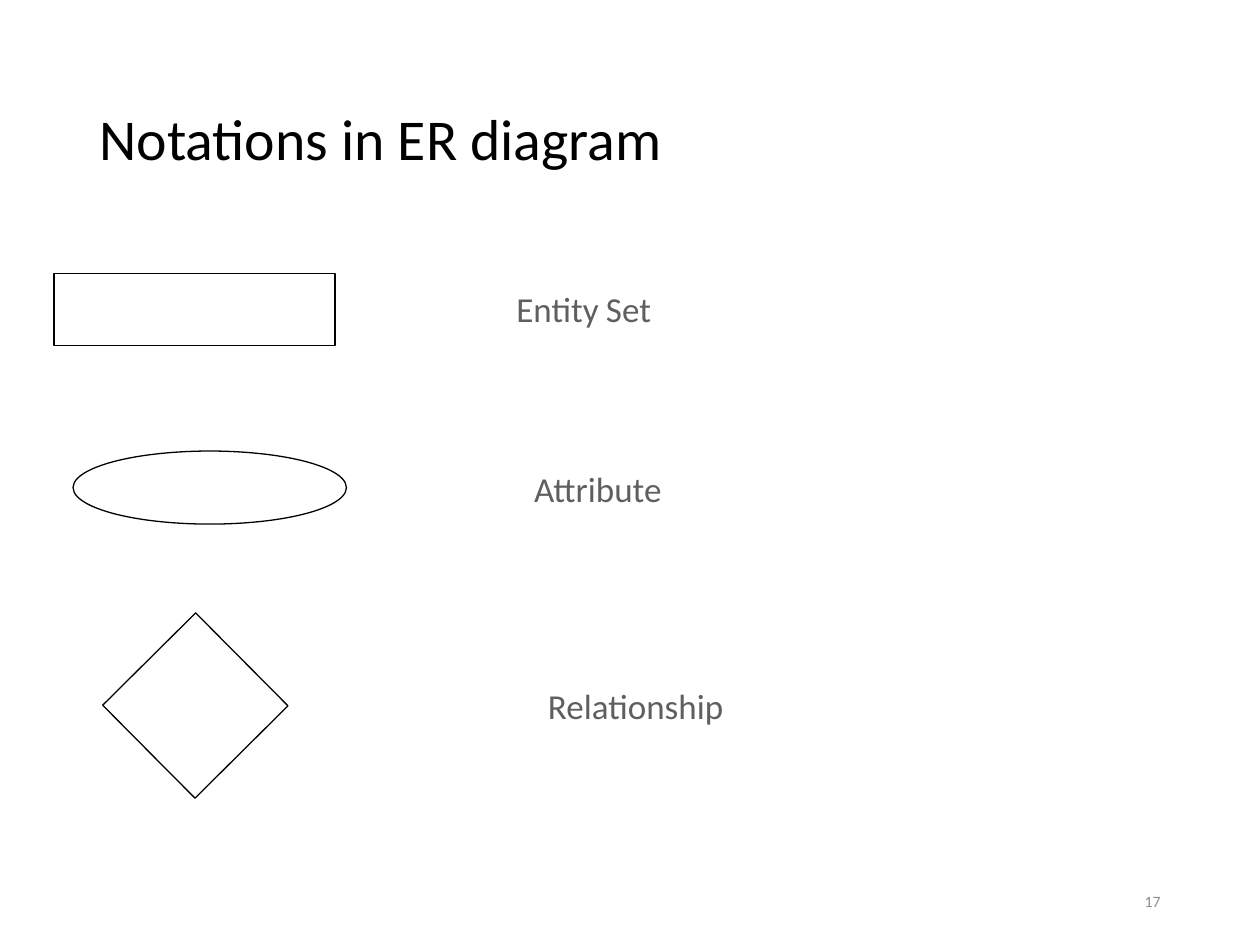
from dataclasses import dataclass

from pptx import Presentation
from pptx.dml.color import RGBColor
from pptx.enum.shapes import MSO_SHAPE
from pptx.enum.text import MSO_ANCHOR, PP_ALIGN
from pptx.util import Inches, Pt

RECT, OVAL = MSO_SHAPE.RECTANGLE, MSO_SHAPE.OVAL
TOP, MIDDLE = MSO_ANCHOR.TOP, MSO_ANCHOR.MIDDLE
LEFT, RIGHT = PP_ALIGN.LEFT, PP_ALIGN.RIGHT
Box = tuple[float, float, float, float]


@dataclass(frozen=True)
class Theme:
    """Fonts, colours and type sizes of the slide."""
    font: str = "Calibri"
    gap_font: str = "Arial Narrow"
    black: str = "000000"
    label: str = "5F5F5F"
    gap: str = "339933"
    number: str = "8C8C8C"
    title_size: float = 33
    label_size: float = 20
    gap_size: float = 18
    number_size: float = 9
    line: float = 0.75


@dataclass(frozen=True)
class Run:
    """A piece of text with one format."""
    text: str
    size: float
    color: str
    font: str
    bold: bool = False


@dataclass(frozen=True)
class Symbol:
    """A notation outline and its label."""
    kind: MSO_SHAPE
    box: Box
    label: list[Run]
    place: Box
    turn: float = 0


THEME = Theme()


def word(text: str) -> Run:
    """Return a run in the label style."""
    return Run(text, THEME.label_size, THEME.label, THEME.font)


def add_text(slide, box: Box, runs: list[Run], anchor=TOP, align=LEFT,
             wrap: bool = True, space: float = 1.0) -> None:
    """Add a text box with one paragraph of runs."""
    frame = slide.shapes.add_textbox(*map(Inches, box)).text_frame
    para = frame.paragraphs[0]
    for name, value in {"word_wrap": wrap, "vertical_anchor": anchor}.items():
        setattr(frame, name, value)
    for name, value in {"alignment": align, "line_spacing": space}.items():
        setattr(para, name, value)
    for item in runs:
        run = para.add_run()
        run.text = item.text
        style = {"name": item.font, "size": Pt(item.size), "bold": item.bold}
        for name, value in style.items():
            setattr(run.font, name, value)
        run.font.color.rgb = RGBColor.from_string(item.color)


def add_symbol(slide, item: Symbol) -> None:
    """Draw a notation outline with its label."""
    shape = slide.shapes.add_shape(item.kind, *map(Inches, item.box))
    shape.rotation = item.turn
    shape.shadow.inherit = False
    shape.fill.background()
    shape.line.color.rgb = RGBColor.from_string(THEME.black)
    shape.line.width = Pt(THEME.line)
    add_text(slide, item.place, item.label, wrap=False)


SPACE = Run(" ", THEME.gap_size, THEME.gap, THEME.gap_font, True)
SYMBOLS = [
    Symbol(RECT, (0.43, 2.17, 2.23, 0.57),
           [word("Entity"), SPACE, word("Set")], (4, 2.23, 1.38, 0.44)),
    Symbol(OVAL, (0.58, 3.58, 2.17, 0.58),
           [word("Attribute")], (4.14, 3.66, 1.25, 0.44)),
    Symbol(RECT, (1.03, 5.08, 1.04, 1.04),
           [word("Relationship")], (4.25, 5.38, 1.75, 0.44), 45.2),
]


def main() -> None:
    """Build and save the slide."""
    deck = Presentation()
    deck.slide_width, deck.slide_height = Inches(10), Inches(7.5)
    slide = deck.slides.add_slide(deck.slide_layouts[6])
    title = Run("Notations in ER diagram", THEME.title_size, THEME.black, THEME.font)
    add_text(slide, (0.69, 0.4, 8.62, 1.45), [title], MIDDLE, space=0.9)
    for item in SYMBOLS:
        add_symbol(slide, item)
    number = Run("17", THEME.number_size, THEME.number, THEME.font)
    add_text(slide, (7.06, 6.95, 2.25, 0.4), [number], MIDDLE, RIGHT)
    deck.save("out.pptx")


main()
